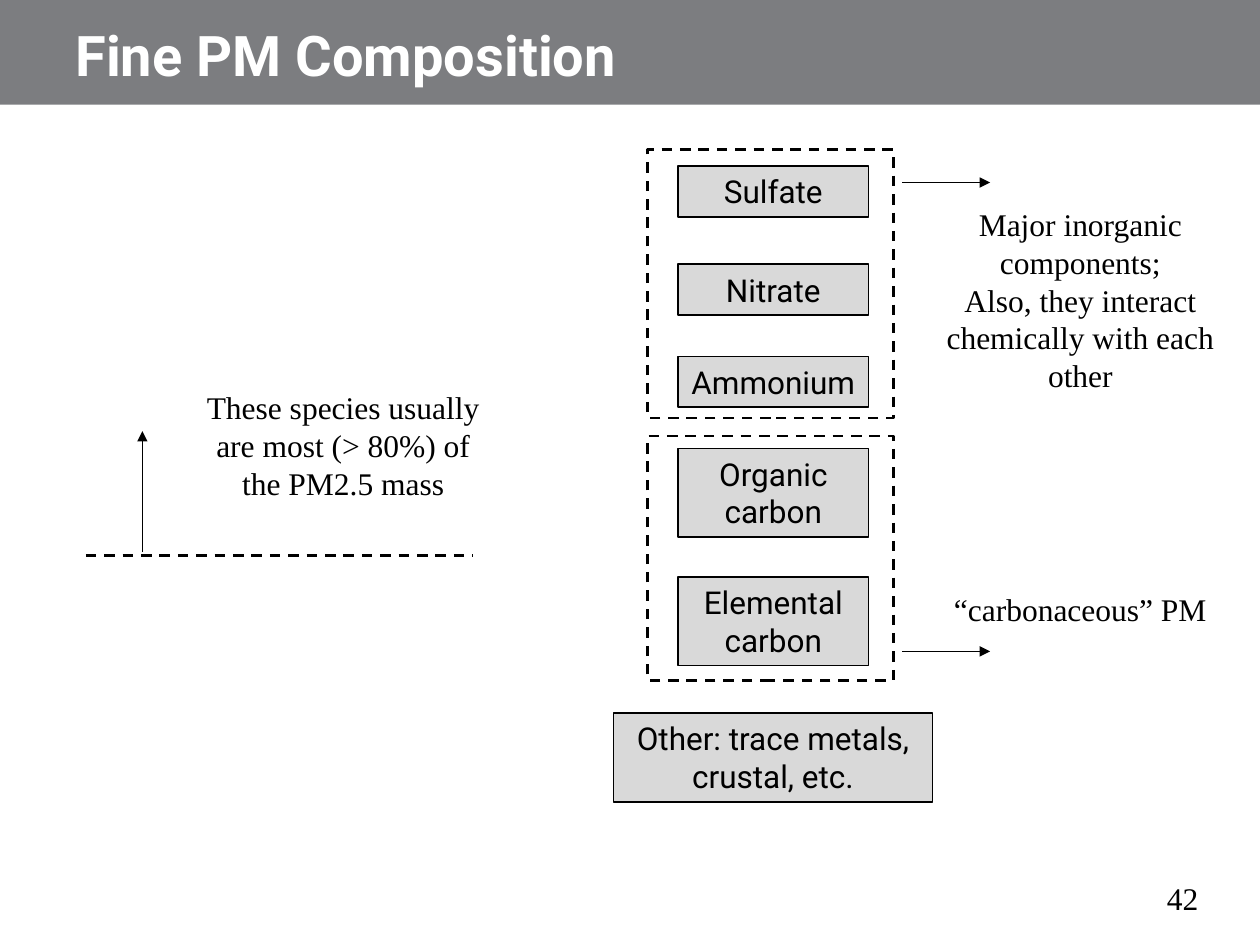
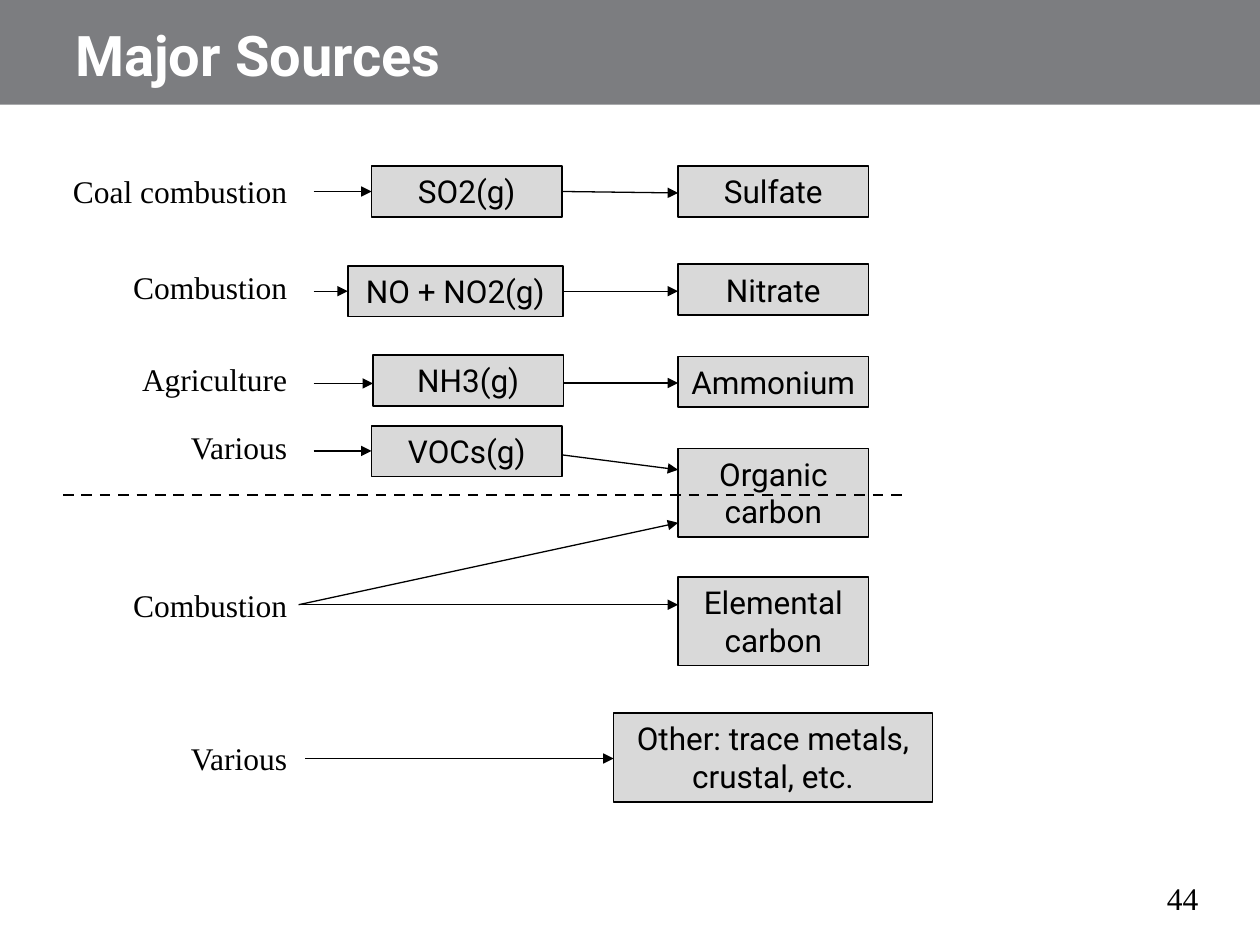
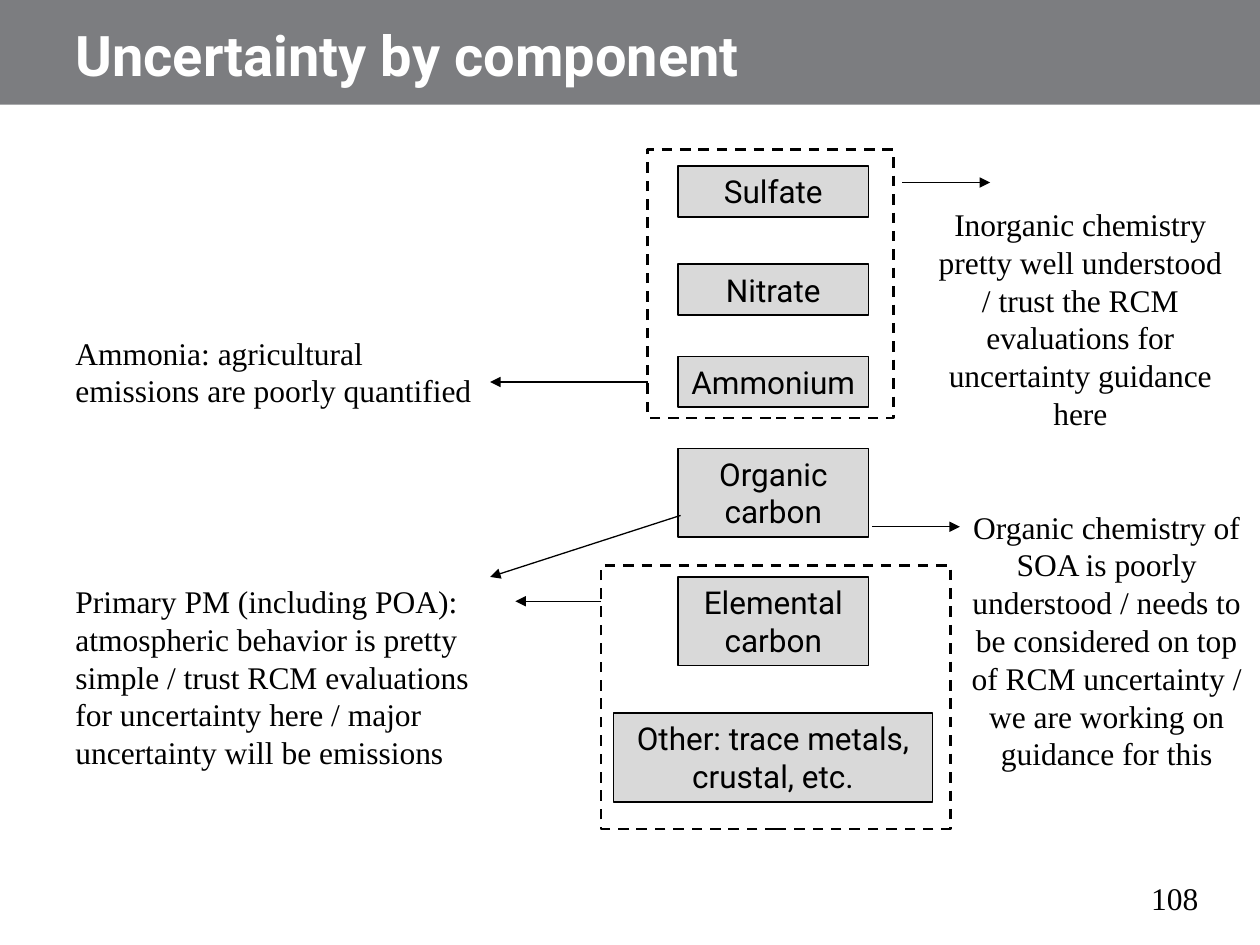
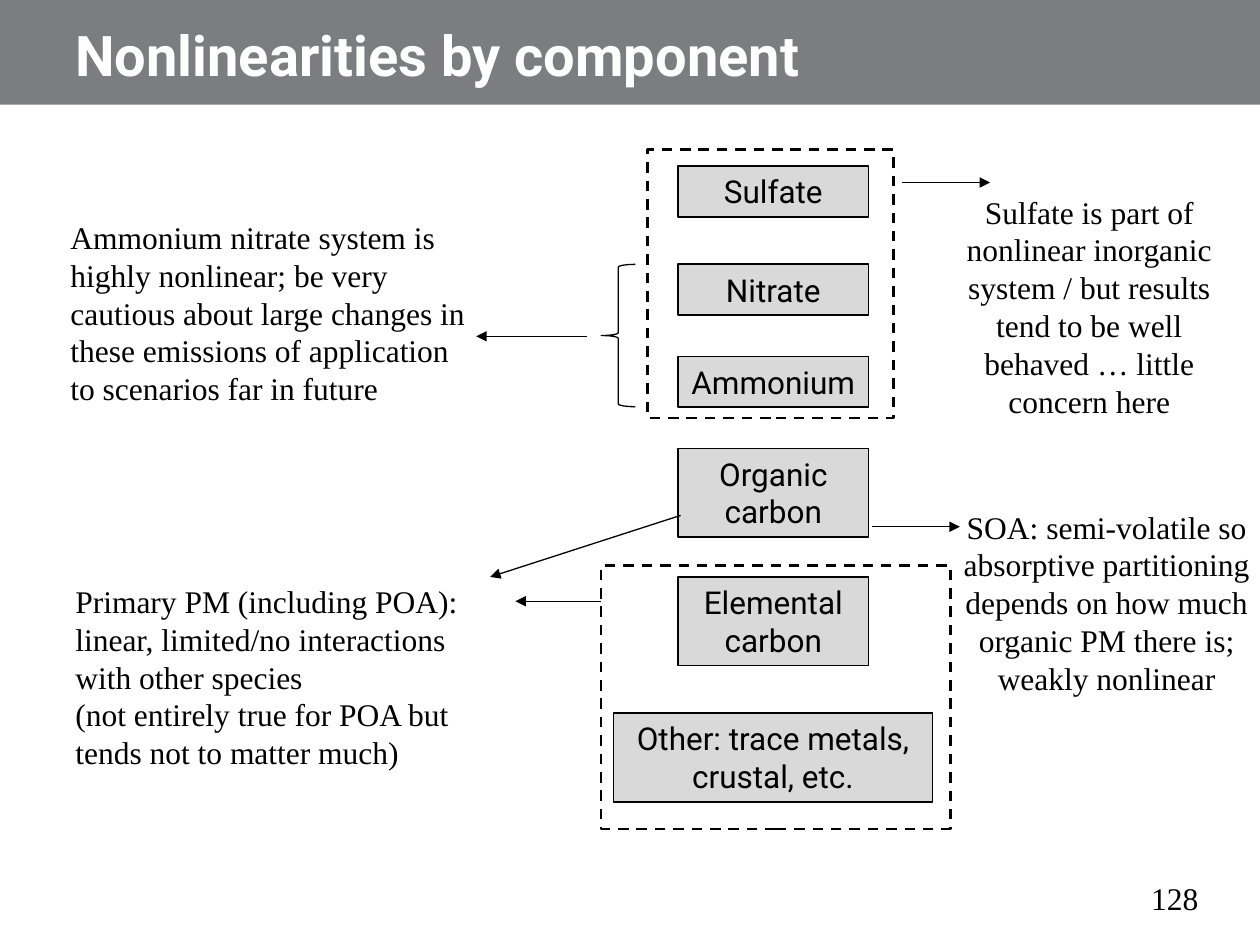
import pptx
import pptx.dml.color
import pptx.enum.dml
import pptx.enum.shapes
import pptx.enum.text
import pptx.oxml.ns
import pptx.util
from lxml import etree

Cm, Pt = pptx.util.Cm, pptx.util.Pt
SHAPES = pptx.enum.shapes.MSO_SHAPE
LEFT = pptx.enum.text.PP_ALIGN.LEFT
CENTER = pptx.enum.text.PP_ALIGN.CENTER
RIGHT = pptx.enum.text.PP_ALIGN.RIGHT

BLACK, WHITE, BAND, BOX_FILL = "000000", "FFFFFF", "7C7D80", "D9D9D9"
SANS, SERIF = "Roboto", "Times New Roman"
SLIDE_WIDTH, SLIDE_HEIGHT = 25.4, 19.05
BOX_WIDTH = 3.84
COMPONENT_LEFT = 13.67
OTHER_LEFT = 12.37
SIDE_NOTE_WIDTH = 6.32
LEFT_NOTE_WIDTH = 8.61

COMPONENTS = [
    ("Sulfate", COMPONENT_LEFT, 3.35, BOX_WIDTH, 1),
    ("Nitrate", COMPONENT_LEFT, 5.33, BOX_WIDTH, 1),
    ("Ammonium", COMPONENT_LEFT, 7.19, BOX_WIDTH, 1),
    ("Elemental carbon", COMPONENT_LEFT, 11.63, BOX_WIDTH, 2),
    ("Organic carbon", COMPONENT_LEFT, 9.04, BOX_WIDTH, 2),
    ("Other: trace metals, crustal, etc.", OTHER_LEFT, 14.38, 6.43, 2),
]


def color(value):
    """Turn a hex string into a colour."""
    return pptx.dml.color.RGBColor.from_string(value)


def text_height(lines):
    """Return the height in centimetres of a box with this many lines."""
    return 0.25 + 0.77 * lines


def write(shape, text, align, font=SERIF, size=18, ink=BLACK, bold=False):
    """Write each line of the text as a paragraph of the shape."""
    frame = shape.text_frame
    frame.word_wrap = True
    frame.vertical_anchor = pptx.enum.text.MSO_ANCHOR.TOP
    for index, line in enumerate(text.split("\n")):
        paragraph = frame.paragraphs[0] if index == 0 else frame.add_paragraph()
        paragraph.alignment = align
        run = paragraph.add_run()
        run.text = line
        run.font.name = font
        run.font.size = Pt(size)
        run.font.bold = bold
        run.font.color.rgb = color(ink)


def add_shape(slide, kind, left, top, width, height, fill=None, line_width=None):
    """Add a preset shape with an optional fill and black outline."""
    shape = slide.shapes.add_shape(kind, Cm(left), Cm(top), Cm(width), Cm(height))
    shape.shadow.inherit = False
    if fill:
        shape.fill.solid()
        shape.fill.fore_color.rgb = color(fill)
    else:
        shape.fill.background()
    if line_width:
        shape.line.color.rgb = color(BLACK)
        shape.line.width = Pt(line_width)
    else:
        shape.line.fill.background()
    return shape


def add_box(slide, text, left, top, width=BOX_WIDTH, lines=1):
    """Add a grey box that names a species."""
    box = add_shape(slide, SHAPES.RECTANGLE, left, top, width, text_height(lines), BOX_FILL, 1)
    write(box, text, CENTER, SANS)


def add_frame(slide, left, top, width, height):
    """Add a dashed frame around a group of boxes."""
    frame = add_shape(slide, SHAPES.RECTANGLE, left, top, width, height, line_width=1.5)
    frame.line.dash_style = pptx.enum.dml.MSO_LINE.DASH


def add_note(slide, text, left, top, lines, width=SIDE_NOTE_WIDTH, align=CENTER):
    """Add a serif note as high as its lines."""
    note = slide.shapes.add_textbox(Cm(left), Cm(top), Cm(width), Cm(text_height(lines)))
    write(note, text, align)


def add_line(slide, start, end, width):
    """Add a straight black line without a shadow."""
    line = slide.shapes.add_connector(
        pptx.enum.shapes.MSO_CONNECTOR.STRAIGHT, *[Cm(value) for value in start + end])
    line.line.color.rgb = color(BLACK)
    line.line.width = Pt(width)
    etree.SubElement(line._element.spPr, pptx.oxml.ns.qn("a:effectLst"))
    return line


def add_arrow(slide, start, end):
    """Add a thin arrow from start to end."""
    arrow = add_line(slide, start, end, 0.75)
    head = etree.SubElement(arrow.line._get_or_add_ln(), pptx.oxml.ns.qn("a:tailEnd"))
    head.set("type", "triangle")


def add_dashed_line(slide, left, right, y):
    """Add a horizontal dashed line."""
    line = add_line(slide, (left, y), (right, y), 1.5)
    line.line.dash_style = pptx.enum.dml.MSO_LINE.DASH


def add_slide(presentation, title, number):
    """Add a slide with band, page number, title and component column."""
    slide = presentation.slides.add_slide(presentation.slide_layouts[6])
    add_shape(slide, SHAPES.RECTANGLE, 0, 0, SLIDE_WIDTH, 2.11, BAND)
    add_note(slide, str(number), 22.56, 17.6, 1, 1.85, RIGHT)
    heading = slide.shapes.add_textbox(Cm(1.27), Cm(0.2), Cm(22.86), Cm(1.7))
    write(heading, title, LEFT, SANS, 32, WHITE, True)
    heading.text_frame.vertical_anchor = pptx.enum.text.MSO_ANCHOR.BOTTOM
    for component in COMPONENTS:
        add_box(slide, *component)
    return slide


def add_inorganic_group(slide):
    """Frame the inorganic species and point right from them."""
    add_frame(slide, 13.06, 3.02, 4.95, 5.41)
    add_arrow(slide, (18.19, 3.68), (19.96, 3.68))


def add_assessment(slide, primary, organic, organic_lines):
    """Add the groups, arrows and notes shared by the assessment slides."""
    add_inorganic_group(slide)
    add_frame(slide, 12.12, 11.4, 7.04, 5.31)
    add_arrow(slide, (12.12, 12.12), (10.39, 12.12))
    add_arrow(slide, (13.72, 10.39), (9.88, 11.63))
    add_arrow(slide, (17.58, 10.62), (19.35, 10.62))
    add_note(slide, primary, 1.27, 11.61, 5, LEFT_NOTE_WIDTH, LEFT)
    add_note(slide, organic, 19.15, 10.11, organic_lines)


def build_composition(presentation):
    """Build the slide on fine PM composition."""
    slide = add_slide(presentation, "Fine PM Composition", 42)
    add_dashed_line(slide, 1.73, 9.53, 11.2)
    add_arrow(slide, (2.87, 11.13), (2.87, 8.69))
    add_note(slide, "These species usually are most (> 80%) of the PM2.5 mass", 3.76, 7.7, 3)
    add_inorganic_group(slide)
    add_note(slide, "Major inorganic components;\n"
             "Also, they interact chemically with each other", 18.62, 4.01, 5)
    add_frame(slide, 13.06, 8.79, 4.95, 4.93)
    add_arrow(slide, (18.19, 13.13), (19.96, 13.13))
    add_note(slide, "“carbonaceous” PM", 18.62, 11.76, 1)


def build_sources(presentation):
    """Build the slide that links sources to components."""
    slide = add_slide(presentation, "Major Sources", 44)
    add_dashed_line(slide, 1.27, 18.29, 9.98)
    sources = [("Coal combustion", 3.35), ("Combustion", 5.28), ("Agriculture", 7.14),
               ("Various", 8.51), ("Combustion", 11.68), ("Various", 14.78)]
    for source, top in sources:
        add_note(slide, source, 0.15, top, 1, 5.89, RIGHT)
    gases = [("SO2(g)", 7.49, 3.35, BOX_WIDTH, 3.86, 3.86, 3.89),
             ("NO + NO2(g)", 7.01, 5.36, 4.34, 5.87, 5.87, 5.87),
             ("NH3(g)", 7.52, 7.16, BOX_WIDTH, 7.73, 7.72, 7.72),
             ("VOCs(g)", 7.49, 8.59, BOX_WIDTH, 9.09, 9.17, 9.47)]
    for gas, left, top, width, source_y, gas_y, component_y in gases:
        add_box(slide, gas, left, top, width)
        add_arrow(slide, (6.32, source_y), (left, source_y))
        add_arrow(slide, (left + width, gas_y), (COMPONENT_LEFT, component_y))
    add_arrow(slide, (6.02, 12.19), (COMPONENT_LEFT, 10.54))
    add_arrow(slide, (6.02, 12.19), (COMPONENT_LEFT, 12.19))
    add_arrow(slide, (6.15, 15.29), (OTHER_LEFT, 15.29))


def build_uncertainty(presentation):
    """Build the slide on uncertainty by component."""
    slide = add_slide(presentation, "Uncertainty by component", 108)
    add_assessment(
        slide,
        "Primary PM (including POA): atmospheric behavior is pretty simple / trust RCM "
        "evaluations for uncertainty here / major uncertainty will be emissions",
        "Organic chemistry of SOA is poorly understood / needs to be considered on top of "
        "RCM uncertainty / we are working on guidance for this", 7)
    add_note(slide, "Inorganic chemistry pretty well understood / trust the RCM evaluations "
             "for uncertainty guidance here", 18.62, 4.01, 6)
    add_note(slide, "Ammonia: agricultural emissions are poorly quantified",
             1.27, 6.6, 2, LEFT_NOTE_WIDTH, LEFT)
    add_arrow(slide, (13.06, 7.7), (9.88, 7.7))


def build_nonlinearities(presentation):
    """Build the slide on nonlinearities by component."""
    slide = add_slide(presentation, "Nonlinearities by component", 128)
    add_assessment(
        slide,
        "Primary PM (including POA): linear, limited/no interactions with other species\n"
        "(not entirely true for POA but tends not to matter much)",
        "SOA: semi-volatile so absorptive partitioning depends on how much organic PM "
        "there is; weakly nonlinear", 5)
    add_note(slide, "Sulfate is part of nonlinear inorganic system / but results tend to be "
             "well behaved … little concern here", 18.8, 3.76, 6)
    add_note(slide, "Ammonium nitrate system is highly nonlinear; be very cautious about large "
             "changes in these emissions of application to scenarios far in future",
             1.17, 4.27, 5, LEFT_NOTE_WIDTH, LEFT)
    add_arrow(slide, (11.84, 6.78), (9.6, 6.78))
    add_shape(slide, SHAPES.LEFT_BRACE, 12.12, 5.33, 0.69, 2.87, WHITE, 0.75)


def main():
    """Build the presentation and save it."""
    presentation = pptx.Presentation()
    presentation.slide_width = Cm(SLIDE_WIDTH)
    presentation.slide_height = Cm(SLIDE_HEIGHT)
    build_composition(presentation)
    build_sources(presentation)
    build_uncertainty(presentation)
    build_nonlinearities(presentation)
    presentation.save("out.pptx")


if __name__ == "__main__":
    main()
